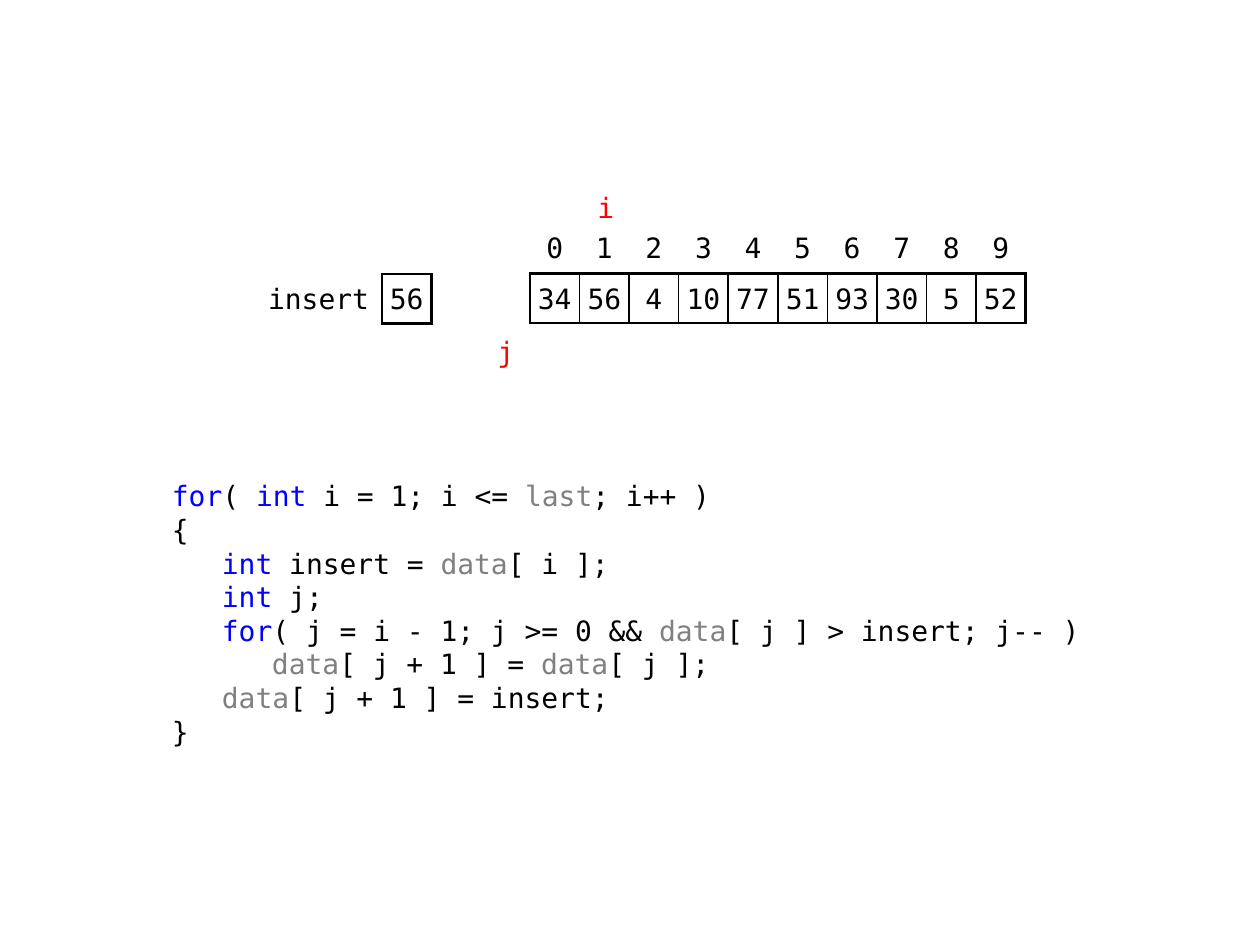
from dataclasses import dataclass

from lxml.etree import SubElement
from pptx import Presentation
from pptx.dml.color import RGBColor as RGB
from pptx.enum.text import MSO_ANCHOR as Anchor, MSO_AUTO_SIZE as AutoSize, PP_ALIGN as Align
from pptx.oxml.ns import qn
from pptx.util import Emu, Pt


@dataclass(frozen=True)
class Theme:
    font: str = "DejaVu Sans Mono"
    size: float = 16
    leading: float = 19.2
    text: str = "000000"
    keyword: str = "0000FF"
    field: str = "808080"
    index: str = "FF0000"
    paper: str = "FFFFFF"
    thick: float = 1.5
    thin: float = 1


THEME = Theme()
EMU_PER_PX = 914400 / 126
NO_GRID_STYLE = "{2D5ABB26-0587-4C30-8999-92F81FD0307C}"
TOKEN_COLORS = {
    "for": THEME.keyword,
    "int": THEME.keyword,
    "data": THEME.field,
    "last": THEME.field,
}
VALUES = [34, 56, 4, 10, 77, 51, 93, 30, 5, 52]
CODE = [
    (0, "for|( |int| i = 1; i <= |last|; i++ )"),
    (0, "{"),
    (1, "int| insert = |data|[ i ];"),
    (1, "int| j;"),
    (1, "for|( j = i - 1; j >= 0 && |data|[ j ] > insert; j-- )"),
    (2, "data|[ j + 1 ] = |data|[ j ];"),
    (1, "data|[ j + 1 ] = insert;"),
    (0, "}"),
]


def px(n):
    return Emu(round(n * EMU_PER_PX))


CELL = Emu(px(496) // len(VALUES))


def apply(obj, values):
    for name, value in values.items():
        setattr(obj, name, value)


def margins(left, top, right, bottom):
    names = ("margin_left", "margin_top", "margin_right", "margin_bottom")
    return dict(zip(names, map(px, (left, top, right, bottom))))


def add_run(p, text, color=THEME.text):
    r = p.add_run()
    r.text = text
    apply(r.font, {"name": THEME.font, "size": Pt(THEME.size)})
    r.font.color.rgb = RGB.from_string(color)


def add_pointer(slide, text, left, top, bottom_margin):
    tf = slide.shapes.add_textbox(px(left), px(top), CELL, CELL).text_frame
    apply(tf, {"word_wrap": True, "vertical_anchor": Anchor.BOTTOM,
               **margins(13, 6, 13, bottom_margin)})
    p = tf.paragraphs[0]
    p.alignment = Align.CENTER
    add_run(p, text, THEME.index)


def add_grid(slide, left, top, widths, rows):
    frame = slide.shapes.add_table(rows, len(widths), px(left), px(top),
                                   Emu(sum(widths)), Emu(CELL * rows))
    table = frame.table
    apply(table, {"first_row": False, "horz_banding": False})
    frame._element.find(".//" + qn("a:tableStyleId")).text = NO_GRID_STYLE
    for column, width in zip(table.columns, widths):
        column.width = width
    for row in table.rows:
        row.height = CELL
    return table


def set_borders(cell, borders):
    tc_pr = cell._tc.get_or_add_tcPr()
    for side in "LRTB":
        if side in borders:
            ln = SubElement(tc_pr, qn(f"a:ln{side}"), w=str(Pt(borders[side])))
            fill = SubElement(ln, qn("a:solidFill"))
            SubElement(fill, qn("a:srgbClr"), val=THEME.text)


def fill_cell(cell, text, insets, borders, align=Align.CENTER, color=None):
    apply(cell, {"vertical_anchor": Anchor.MIDDLE, **margins(*insets)})
    p = cell.text_frame.paragraphs[0]
    p.alignment = align
    add_run(p, text)
    set_borders(cell, borders)
    if color:
        cell.fill.solid()
        cell.fill.fore_color.rgb = RGB.from_string(color)
    else:
        cell.fill.background()


def add_insert_box(slide):
    table = add_grid(slide, 233, 274, [px(149), CELL], 1)
    fill_cell(table.cell(0, 0), "insert", (13, 5, 13, 3),
              {"R": THEME.thick}, Align.RIGHT)
    fill_cell(table.cell(0, 1), "56", (0, 5, 0, 3),
              dict.fromkeys("LRTB", THEME.thick))


def add_array(slide):
    last = len(VALUES) - 1
    table = add_grid(slide, 530, 224, [CELL] * len(VALUES), 2)
    for i, value in enumerate(VALUES):
        fill_cell(table.cell(0, i), str(i), (0, 0, 0, 0), {"B": THEME.thick})
        borders = {
            "L": THEME.thick if i == 0 else THEME.thin,
            "R": THEME.thick if i == last else THEME.thin,
            "T": THEME.thick,
            "B": THEME.thick,
        }
        fill_cell(table.cell(1, i), str(value), (0, 5, 0, 3), borders,
                  color=THEME.paper)


def add_code(slide):
    body = slide.placeholders[1]
    apply(body, {"left": px(159), "top": px(473),
                 "width": px(942), "height": px(297)})
    tf = body.text_frame
    apply(tf, {"word_wrap": True, "auto_size": AutoSize.NONE,
               "vertical_anchor": Anchor.TOP, **margins(13, 6, 13, 6)})
    for n, (depth, line) in enumerate(CODE):
        p = tf.add_paragraph() if n else tf.paragraphs[0]
        apply(p, {"alignment": Align.LEFT, "space_before": Pt(0),
                  "space_after": Pt(0), "line_spacing": Pt(THEME.leading)})
        p_pr = p._p.get_or_add_pPr()
        p_pr.set("marL", str(px(50 * depth)))
        p_pr.set("indent", "0")
        SubElement(p_pr, qn("a:buNone"))
        for token in line.split("|"):
            add_run(p, token, TOKEN_COLORS.get(token, THEME.text))


def main():
    prs = Presentation()
    apply(prs, {"slide_width": px(1260), "slide_height": px(945)})
    slide = prs.slides.add_slide(prs.slide_layouts[1])
    title = slide.shapes.title._element
    title.getparent().remove(title)
    add_insert_box(slide)
    add_code(slide)
    add_pointer(slide, "i", 581, 175, 0)
    add_pointer(slide, "j", 481, 324, 5)
    add_array(slide)
    prs.save("out.pptx")


if __name__ == "__main__":
    main()
